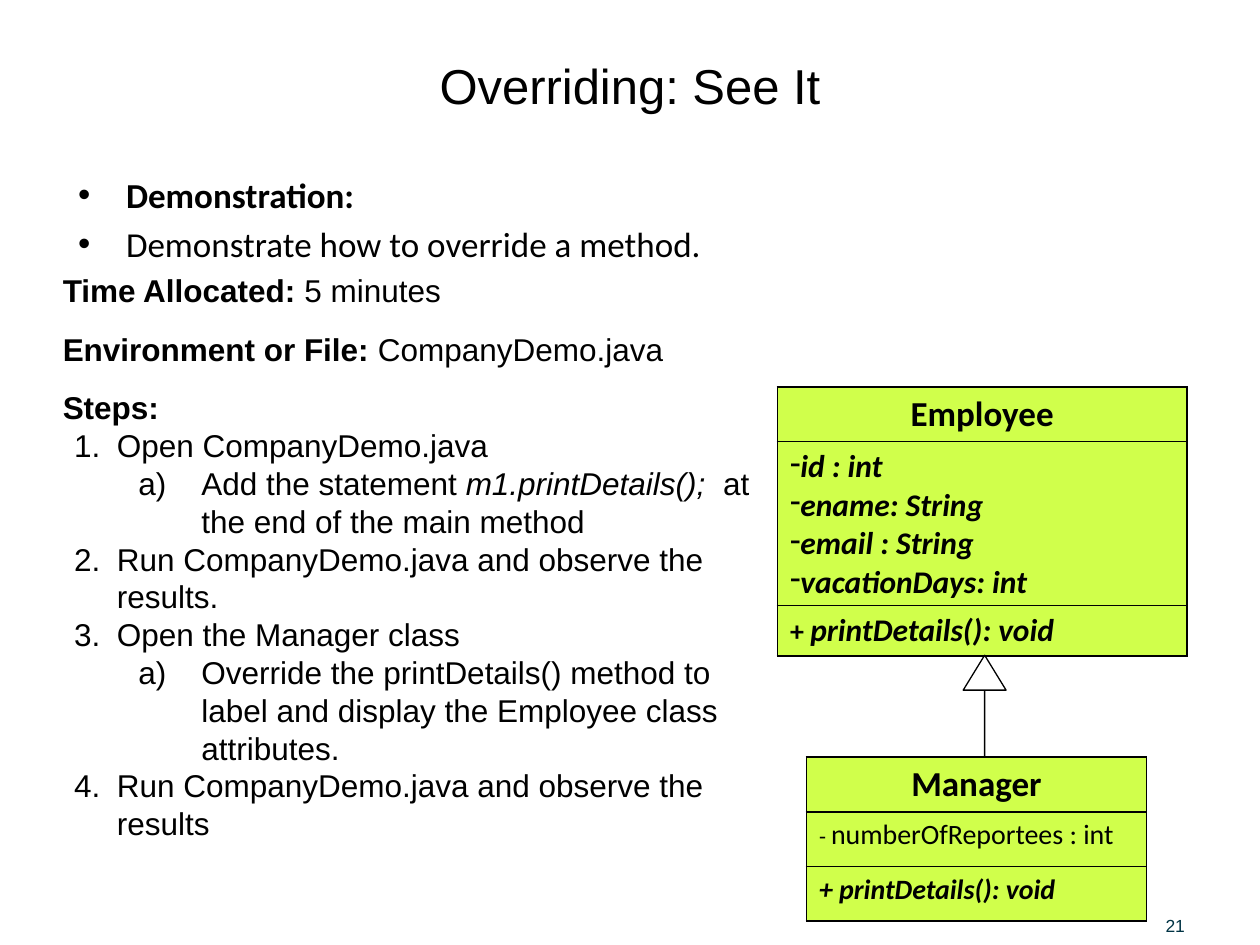
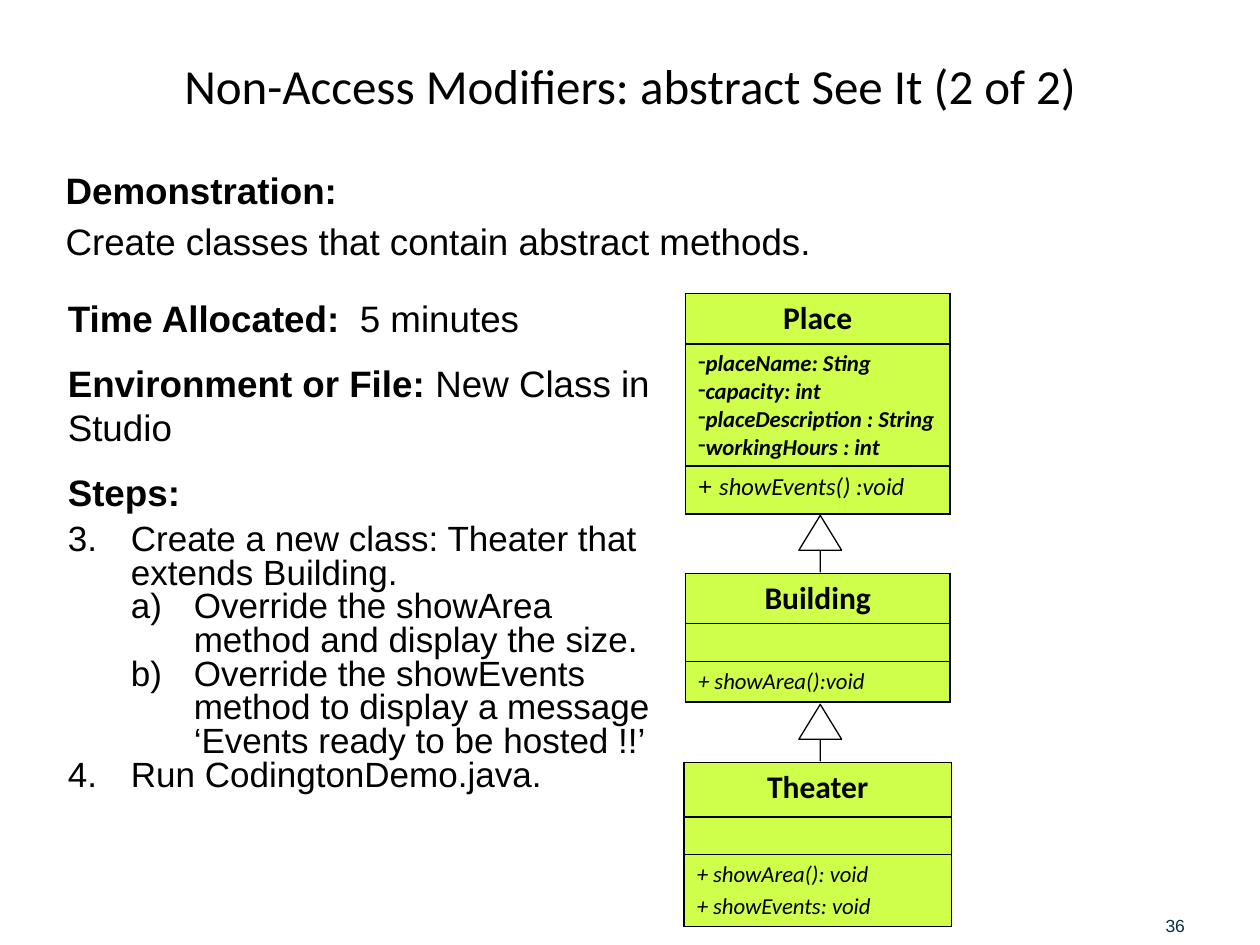
from lxml.etree import SubElement
from pptx import Presentation
from pptx.dml.color import RGBColor
from pptx.enum.shapes import MSO_SHAPE
from pptx.enum.text import MSO_ANCHOR, MSO_AUTO_SIZE, PP_ALIGN
from pptx.oxml.ns import qn
from pptx.util import Inches, Pt

COLS, ROWS = 100, 75
BLACK, LIME, NAVY = "000000", "D0FF4B", "003344"
TITLE_BOX = (5, 2, 90, 9.5)
INTRO_BOX = (5.2, 13.3, 69.7, 12)
NUMBER_BOX = (92.5, 71.5, 6.9, 2.8)
ARROW_WIDTH, ARROW_SHIFT = 3.4, 0.2

prs = Presentation()
prs.slide_width, prs.slide_height = Inches(10), Inches(7.5)


def rgb(hex_string):
    """Turn a hex string into a colour."""
    return RGBColor.from_string(hex_string)


def grid(box):
    """Turn a box in columns and rows into lengths on the slide."""
    x, y, w, h = box
    dx, dy = prs.slide_width / COLS, prs.slide_height / ROWS
    return int(x * dx), int(y * dy), int(w * dx), int(h * dy)


def place(sp, box):
    """Move a shape into a box of the grid."""
    sp.left, sp.top, sp.width, sp.height = grid(box)


def line(*runs, **style):
    """Describe a paragraph; a run is (text, flags, overrides)."""
    return runs, style


def set_bullet(p, level, indent, mark, start):
    """Give a paragraph its level, hanging indent and bullet or number."""
    p.level = level
    pPr = p._p.get_or_add_pPr()
    left, first = indent
    pPr.set("marL", str(Inches(left)))
    pPr.set("indent", str(Inches(first)))
    if not mark:
        SubElement(pPr, qn("a:buNone"))
    elif mark in ("arabicPeriod", "alphaLcParenR"):
        number = SubElement(pPr, qn("a:buAutoNum"), type=mark)
        if start > 1:
            number.set("startAt", str(start))
    else:
        SubElement(pPr, qn("a:buChar"), char=mark)


def write(tf, lines, size, font, color=BLACK):
    """Fill a text frame with described paragraphs."""
    for k, (runs, style) in enumerate(lines):
        p = tf.add_paragraph() if k else tf.paragraphs[0]
        p.alignment = style.get("align", PP_ALIGN.LEFT)
        p.line_spacing = style.get("spacing", 1.0)
        p.space_before = Pt(style.get("before", 0))
        p.space_after = Pt(style.get("after", 0))
        set_bullet(p, style.get("level", 0), style.get("indent", (0, 0)),
                   style.get("mark"), style.get("start", 1))
        for text, flags, *own in runs:
            r = p.add_run()
            r.text = text
            f = r.font
            f.size = Pt(own[0] if own else style.get("size", size))
            f.name = own[1] if len(own) > 1 else font
            f.bold, f.italic = "b" in flags, "i" in flags
            f.color.rgb = rgb(color)


def add_text(slide, box, lines, size, font="Arial", color=BLACK, inset=None):
    """Add a wrapping text box."""
    sp = slide.shapes.add_textbox(*grid(box))
    tf = sp.text_frame
    tf.word_wrap = True
    set_inset(tf, inset)
    write(tf, lines, size, font, color)
    return tf


def set_inset(tf, inset):
    """Set all four margins of a text frame when an inset is given."""
    if inset is not None:
        tf.margin_left = tf.margin_right = inset
        tf.margin_top = tf.margin_bottom = inset


def add_page(title, font, number, intro, size, intro_font, inset=None):
    """Start a slide with its title, introduction and number."""
    slide = prs.slides.add_slide(prs.slide_layouts[1])
    head, body = slide.placeholders
    place(head, TITLE_BOX)
    head.text_frame.vertical_anchor = MSO_ANCHOR.MIDDLE
    write(head.text_frame, [line((title, ""), align=PP_ALIGN.CENTER)], 28, font)
    place(body, INTRO_BOX)
    body.text_frame.auto_size = MSO_AUTO_SIZE.NONE
    set_inset(body.text_frame, inset)
    write(body.text_frame, intro, size, intro_font)
    tf = add_text(slide, NUMBER_BOX, [line((number, ""))], 10, color=NAVY, inset=0)
    tf.vertical_anchor = MSO_ANCHOR.BOTTOM
    return slide


def style_cell(cell):
    """Give a cell a thin black border and the lime fill."""
    tcPr = cell._tc.get_or_add_tcPr()
    for side in ("lnL", "lnR", "lnT", "lnB"):
        ln = SubElement(tcPr, qn("a:" + side), w=str(Pt(1)))
        SubElement(SubElement(ln, qn("a:solidFill")), qn("a:srgbClr"), val=BLACK)
    cell.fill.solid()
    cell.fill.fore_color.rgb = rgb(LIME)


def add_class(slide, corner, width, heights, name, fields, methods, sizes):
    """Draw a UML class of name, fields and methods and return its box."""
    box = (*corner, width, sum(heights))
    table = slide.shapes.add_table(3, 1, *grid(box)).table
    table.first_row = table.horz_banding = False
    header = [line((name, "b"), align=PP_ALIGN.CENTER)]
    for k, lines in enumerate((header, fields, methods)):
        table.rows[k].height = grid((0, 0, 0, heights[k]))[3]
        cell = table.cell(k, 0)
        style_cell(cell)
        if lines:
            write(cell.text_frame, lines, sizes[k], "Calibri")
        else:
            end = cell.text_frame.paragraphs[0]._p.get_or_add_endParaRPr()
            end.set("sz", str(sizes[k] * 100))
    return box


def add_inheritance(slide, parent, child, gap=0):
    """Draw the hollow arrow from a child class up to its parent."""
    x, y, w, h = parent
    top, bottom = y + h + gap, child[1] - gap / 2
    left = x + (w - ARROW_WIDTH) / 2 + ARROW_SHIFT
    sp = slide.shapes.add_shape(MSO_SHAPE.UP_ARROW,
                                *grid((left, top, ARROW_WIDTH, bottom - top)))
    sp.adjustments[0], sp.adjustments[1] = 0, 0.815
    sp.shadow.inherit = False
    sp.fill.background()
    sp.line.color.rgb = rgb(BLACK)
    sp.line.width = Pt(0.75)


def private_fields(*names):
    """List fields in bold italics after a dash."""
    return [line((name, "bi"), mark="-") for name in names]


def facts(time, place_name, gap="", after=0):
    """List the labelled facts that come before the steps."""
    return [line(("Time Allocated: " + gap, "b"), (time, ""), before=12),
            line(("Environment or File: ", "b"), (place_name, ""), before=12),
            line(("Steps:", "b"), before=12, after=after)]


def overriding_slide():
    """Build the slide on overriding a method."""
    bullet = dict(indent=(0.38, -0.38), mark="•", before=4)
    slide = add_page("Overriding: See It", "Arial", "21", [
        line(("Demonstration: ", "b"), **bullet),
        line(("Demonstrate how to override a method.", ""), **bullet)], 20, "Calibri")
    step = dict(indent=(0.43, -0.34), mark="arabicPeriod")
    sub = dict(level=1, indent=(1.1, -0.5), mark="alphaLcParenR")
    add_text(slide, (4, 21, 56.6, 53.5), facts("5 minutes", "CompanyDemo.java") + [
        line(("Open CompanyDemo.java", ""), **step),
        line(("Add the statement ", ""), ("m1.printDetails();  ", "i"),
             ("at the end of the main method", ""), **sub),
        line(("Run CompanyDemo.java and observe the results.", ""), **step),
        line(("Open the Manager class", ""), **step),
        line(("Override the printDetails() method to label and display "
              "the Employee class attributes.", ""), **sub),
        line(("Run CompanyDemo.java and observe the results", ""), **step)], 18)
    employee = add_class(
        slide, (61.7, 30.7), 32.5, (4.3, 13, 4), "Employee",
        private_fields("id : int", "ename: String", "email : String",
                       "vacationDays: int"),
        [line(("+ ", "b", 16), ("printDetails(): void", "bi"))], (20, 18, 18))
    manager = add_class(
        slide, (64, 60.1), 27, (4.33, 4.33, 4.33), "Manager",
        [line(("- ", "", 13), ("numberOfReportees : int", ""), before=3.2)],
        [line(("+ printDetails(): void", "bi"))], (20, 16, 16))
    add_inheritance(slide, employee, manager)


def abstract_slide():
    """Build the slide on abstract methods."""
    slide = add_page("Non-Access Modifiers: abstract See It (2 of 2)", "Calibri", "36", [
        line(("Demonstration:", "b"), before=4.2),
        line(("Create classes that contain abstract methods.", ""), before=4.2)],
        21, "Arial", inset=0)
    step = dict(indent=(0.5, -0.5), mark="arabicPeriod", start=3, size=20, spacing=0.8)
    sub = dict(level=1, indent=(1, -0.5), mark="alphaLcParenR", size=20, spacing=0.8)
    add_text(slide, (4.4, 23, 49, 44.3),
             facts("5 minutes", "New Class in Studio", " ", 6) + [
        line(("Create a new class: Theater that extends Building.", ""), **step),
        line(("Override the showArea method and display the size.", ""), **sub),
        line(("Override the showEvents method to display a message "
              "‘Events ready to be hosted !!’", ""), **sub),
        line(("Run CodingtonDemo.java.", ""), **step)], 21)
    place_class = add_class(
        slide, (54.4, 23.3), 21, (4, 9.6, 3.8), "Place",
        private_fields("placeName: Sting", "capacity: int",
                       "placeDescription : String", "workingHours : int"),
        [line(("+ ", "", 14, "Arial"), ("showEvents() :void", "i"))], (18, 13, 14))
    building = add_class(
        slide, (54.4, 45.5), 21, (4, 3, 3.2), "Building", [],
        [line(("+ showArea():void", "i"), before=2.6)], (18, 12, 13))
    theater = add_class(
        slide, (54.3, 60.5), 21.2, (4.33, 3, 5.7), "Theater", [],
        [line((text, "i"), before=2.6)
         for text in ("+ showArea(): void", "+ showEvents: void")], (18, 12, 13))
    add_inheritance(slide, place_class, building, 0.2)
    add_inheritance(slide, building, theater, 0.2)


overriding_slide()
abstract_slide()
prs.save("out.pptx")
